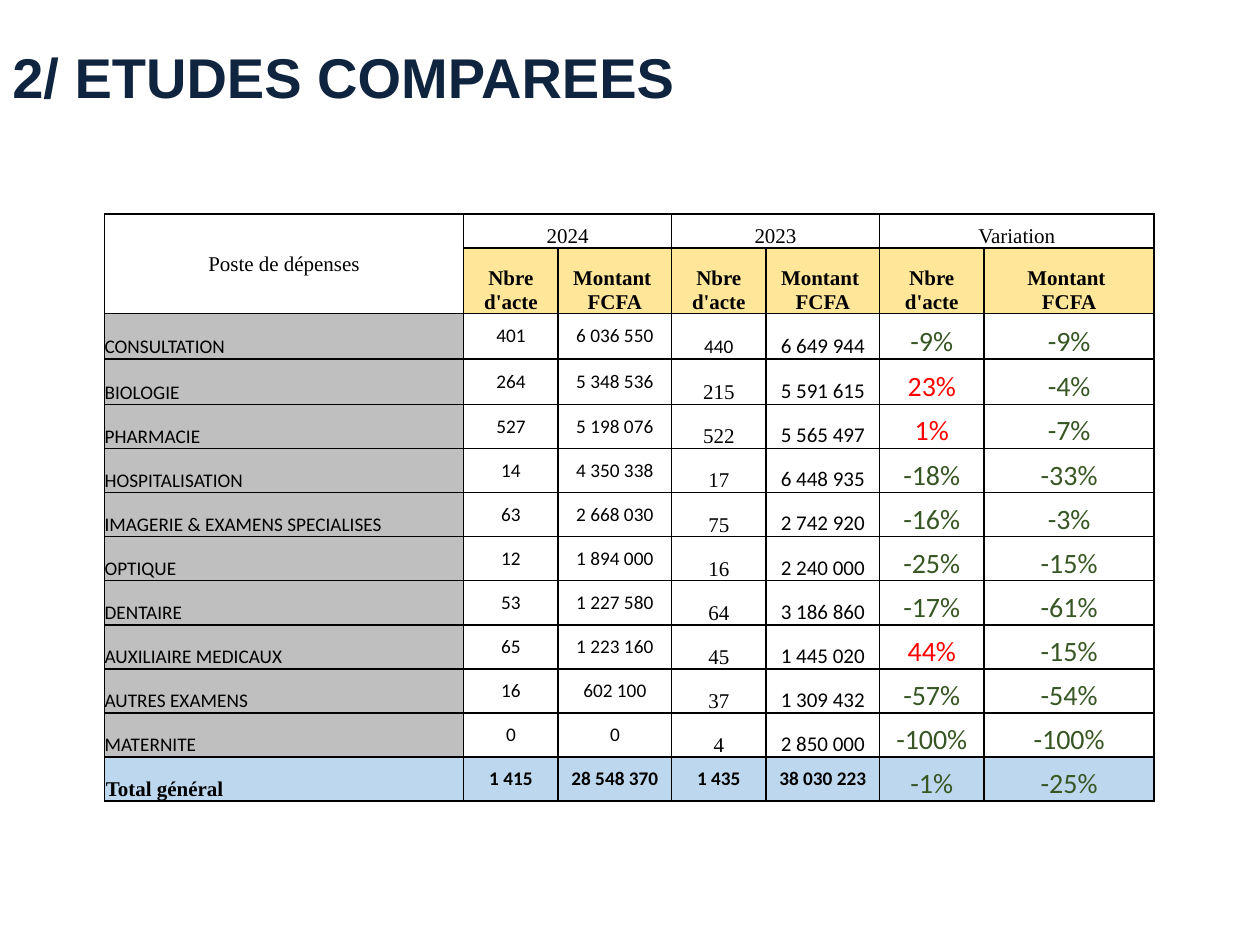
from lxml import etree
from pptx import Presentation
from pptx.dml.color import RGBColor
from pptx.enum.text import MSO_ANCHOR, PP_ALIGN
from pptx.oxml.ns import qn
from pptx.util import Inches, Pt

NAVY = RGBColor(0x0F, 0x24, 0x3E)
BLACK = RGBColor(0x00, 0x00, 0x00)
GREEN = RGBColor(0x37, 0x56, 0x23)
RED = RGBColor(0xFF, 0x00, 0x00)
GRAY = RGBColor(0xBF, 0xBF, 0xBF)
YELLOW = RGBColor(0xFF, 0xE6, 0x99)
BLUE = RGBColor(0xBD, 0xD7, 0xEE)

SERIF = "Times New Roman"
SANS = "Calibri"
HEADING = {"name": SERIF, "size": Pt(12)}
BODY = {"name": SANS, "size": Pt(11)}

COLUMN_WIDTHS = [2.85, 0.75, 0.9, 0.75, 0.9, 0.83, 1.35]
ROW_HEIGHTS = [0.27, 0.52, 0.36, 0.36] + [0.35] * 9

EXPENSES = [
    ("CONSULTATION", "401", "6 036 550", "440", "6 649 944", "-9%", "-9%"),
    ("BIOLOGIE", "264", "5 348 536", "215", "5 591 615", "23%", "-4%"),
    ("PHARMACIE", "527", "5 198 076", "522", "5 565 497", "1%", "-7%"),
    ("HOSPITALISATION", "14", "4 350 338", "17", "6 448 935", "-18%", "-33%"),
    ("IMAGERIE & EXAMENS SPECIALISES", "63", "2 668 030", "75", "2 742 920", "-16%", "-3%"),
    ("OPTIQUE", "12", "1 894 000", "16", "2 240 000", "-25%", "-15%"),
    ("DENTAIRE", "53", "1 227 580", "64", "3 186 860", "-17%", "-61%"),
    ("AUXILIAIRE MEDICAUX", "65", "1 223 160", "45", "1 445 020", "44%", "-15%"),
    ("AUTRES EXAMENS", "16", "602 100", "37", "1 309 432", "-57%", "-54%"),
    ("MATERNITE", "0", "0", "4", "2 850 000", "-100%", "-100%"),
]
TOTAL = ("Total général", "1 415", "28 548 370", "1 435", "38 030 223", "-1%", "-25%")


class SlideBuilder:
    """Holds the default text style and the current slide."""

    text_format = {"name": SANS, "size": Pt(11), "bold": False}
    border_width = Pt(1)

    def __init__(self, slide):
        self.slide = slide

    def fill_text(self, text_frame, text, alignment, color=BLACK, **changes):
        text_frame.text = text
        for paragraph in text_frame.paragraphs:
            paragraph.alignment = alignment
            for run in paragraph.runs:
                for attribute, value in {**self.text_format, **changes}.items():
                    setattr(run.font, attribute, value)
                run.font.color.rgb = color

    def title(self, text, left, top, width, height, **font):
        shape = self.slide.shapes.add_textbox(
            Inches(left), Inches(top), Inches(width), Inches(height))
        shape.text_frame.word_wrap = True
        shape.text_frame.vertical_anchor = MSO_ANCHOR.MIDDLE
        self.fill_text(shape.text_frame, text, PP_ALIGN.LEFT, **font)

    def table(self, left, top, widths, heights):
        shape = self.slide.shapes.add_table(
            len(heights), len(widths), Inches(left), Inches(top),
            Inches(sum(widths)), Inches(sum(heights)))
        table = shape.table
        table.first_row = table.horz_banding = False
        for column, width in zip(table.columns, widths):
            column.width = Inches(width)
        for row, height in zip(table.rows, heights):
            row.height = Inches(height)
        for cell in table.iter_cells():
            self.borders(cell)
            cell.fill.background()
        return table

    def borders(self, cell):
        properties = cell._tc.get_or_add_tcPr()
        for side in ("a:lnL", "a:lnR", "a:lnT", "a:lnB"):
            line = etree.SubElement(properties, qn(side), w=str(self.border_width))
            fill = etree.SubElement(line, qn("a:solidFill"))
            etree.SubElement(fill, qn("a:srgbClr"), val=str(BLACK))

    def cell(self, cell, text, fill=None, alignment=PP_ALIGN.CENTER,
             anchor=MSO_ANCHOR.BOTTOM, inset=0, **font):
        layout = {"margin_left": Inches(inset), "margin_right": Inches(inset),
                  "margin_top": Inches(inset), "margin_bottom": 0,
                  "vertical_anchor": anchor}
        for attribute, value in layout.items():
            setattr(cell, attribute, value)
        if fill is not None:
            cell.fill.solid()
            cell.fill.fore_color.rgb = fill
        self.fill_text(cell.text_frame, text, alignment, **font)


def variation_format(text):
    return {"size": Pt(16), "color": GREEN if text.startswith("-") else RED}


def main():
    presentation = Presentation()
    presentation.slide_width = Inches(10)
    presentation.slide_height = Inches(7.5)
    builder = SlideBuilder(presentation.slides.add_slide(presentation.slide_layouts[6]))

    # Title
    builder.title("2/ ETUDES COMPAREES", 0, 0.02, 10, 1.17,
                  name="Arial", size=Pt(32), bold=True, color=NAVY)

    # Table headings
    table = builder.table(0.83, 1.7, COLUMN_WIDTHS, ROW_HEIGHTS)
    table.cell(0, 0).merge(table.cell(1, 0))
    builder.cell(table.cell(0, 0), "Poste de dépenses",
                 anchor=MSO_ANCHOR.MIDDLE, inset=0.01, **HEADING)
    for column, period in zip((1, 3, 5), ("2024", "2023", "Variation")):
        table.cell(0, column).merge(table.cell(0, column + 1))
        builder.cell(table.cell(0, column), period, inset=0.01, **HEADING)
        for offset, label in enumerate(("Nbre d'acte", "Montant \nFCFA")):
            builder.cell(table.cell(1, column + offset), label, YELLOW,
                         inset=0.01, bold=True, **HEADING)

    # Expense rows
    for row, (label, *values) in enumerate(EXPENSES, start=2):
        builder.cell(table.cell(row, 0), label, GRAY, PP_ALIGN.LEFT, **BODY)
        count_format = BODY if row == 2 else HEADING
        for column, value in enumerate(values, start=1):
            if column <= 2:
                style = {"anchor": MSO_ANCHOR.MIDDLE}
            elif column == 3:
                style = count_format
            elif column == 4:
                style = {"size": Pt(12)}
            else:
                style = variation_format(value)
            builder.cell(table.cell(row, column), value, **style)

    # Total row
    last_row = len(ROW_HEIGHTS) - 1
    label, *values = TOTAL
    builder.cell(table.cell(last_row, 0), label, BLUE, PP_ALIGN.LEFT,
                 inset=0.01, bold=True, **HEADING)
    for column, value in enumerate(values, start=1):
        style = ({"anchor": MSO_ANCHOR.MIDDLE, "bold": True} if column <= 4
                 else variation_format(value))
        builder.cell(table.cell(last_row, column), value, BLUE, **style)

    presentation.save("out.pptx")


if __name__ == "__main__":
    main()
